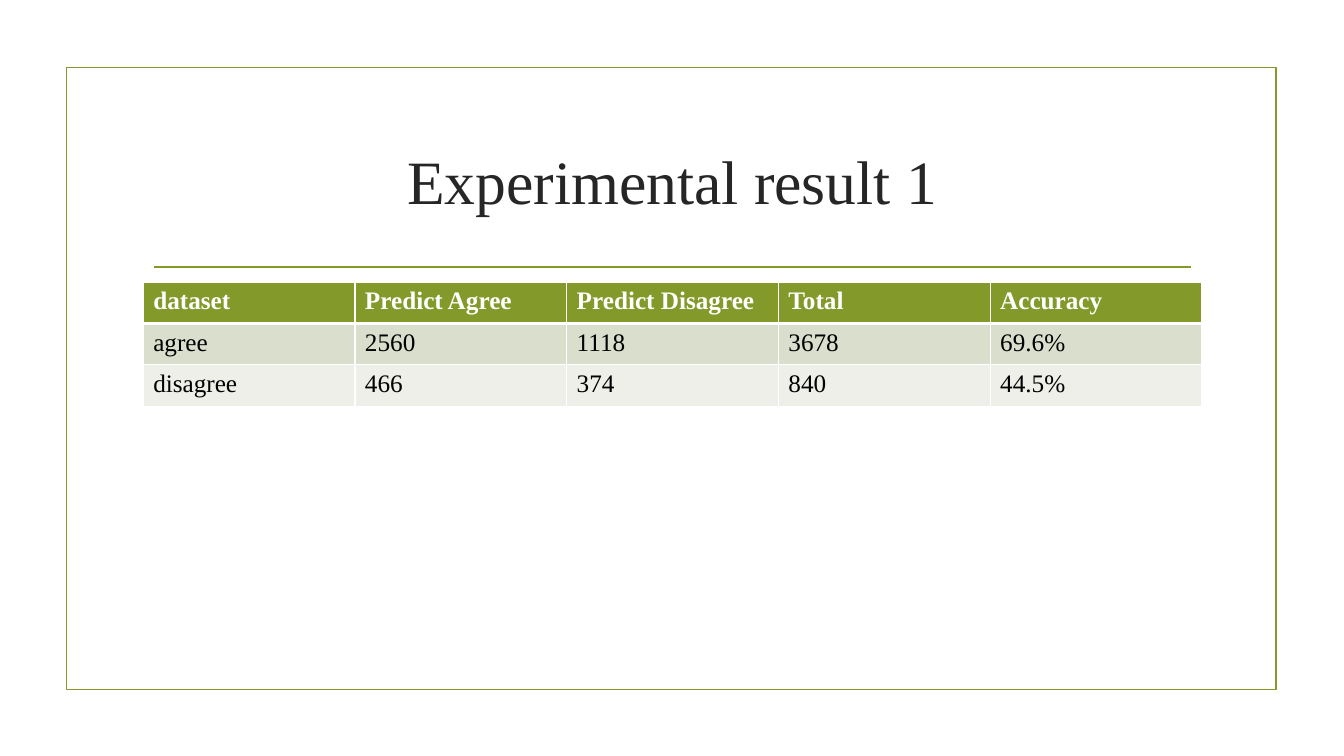
from dataclasses import dataclass

from lxml.etree import SubElement
from pptx import Presentation
from pptx.dml.color import RGBColor
from pptx.enum.shapes import MSO_CONNECTOR, MSO_SHAPE
from pptx.enum.text import MSO_ANCHOR, MSO_AUTO_SIZE, PP_ALIGN
from pptx.oxml.ns import qn
from pptx.util import Inches, Pt


@dataclass(frozen=True)
class Theme:
    font: str = "Times New Roman"
    accent: str = "83992A"
    title_ink: str = "262626"
    header_ink: str = "FFFFFF"
    body_ink: str = "000000"
    grid: str = "FFFFFF"
    bands: tuple = ("D9DECD", "EDEFE8")
    title_size: int = 44
    table_size: int = 18
    rule_width: float = 1.25
    grid_width: int = 1
    header_rule_width: int = 3


def apply_format(target, values):
    for name, value in values.items():
        setattr(target, name, value)


class SlideBuilder:
    def __init__(self, slide, theme):
        self.slide = slide
        self.theme = theme

    def style_font(self, font, size, ink, bold=False):
        apply_format(font, {"name": self.theme.font, "size": Pt(size), "bold": bold})
        font.color.rgb = RGBColor.from_string(ink)

    def style_line(self, line):
        line.color.rgb = RGBColor.from_string(self.theme.accent)
        line.width = Pt(self.theme.rule_width)

    def title(self, text, left, top, width, height):
        heading = self.slide.shapes.title
        apply_format(heading, {"left": Inches(left), "top": Inches(top),
                               "width": Inches(width), "height": Inches(height)})
        apply_format(heading.text_frame, {
            "text": text, "word_wrap": True, "auto_size": MSO_AUTO_SIZE.NONE,
            "vertical_anchor": MSO_ANCHOR.MIDDLE})
        paragraph = heading.text_frame.paragraphs[0]
        paragraph.alignment = PP_ALIGN.CENTER
        self.style_font(paragraph.runs[0].font, self.theme.title_size, self.theme.title_ink)

    def frame(self, left, top, width, height):
        border = self.slide.shapes.add_shape(
            MSO_SHAPE.RECTANGLE, Inches(left), Inches(top), Inches(width), Inches(height))
        border.shadow.inherit = False
        border.fill.background()
        self.style_line(border.line)

    def rule(self, left, right, y):
        divider = self.slide.shapes.add_connector(
            MSO_CONNECTOR.STRAIGHT, Inches(left), Inches(y), Inches(right), Inches(y))
        self.style_line(divider.line)
        SubElement(divider._element.spPr, qn("a:effectLst"))

    def cell_borders(self, cell, widths):
        properties = cell._tc.get_or_add_tcPr()
        for side, width in widths.items():
            edge = SubElement(properties, qn(f"a:ln{side}"), w=str(Pt(width)))
            fill = SubElement(edge, qn("a:solidFill"))
            SubElement(fill, qn("a:srgbClr"), val=self.theme.grid)

    def table(self, rows, left, top, width, row_height):
        theme = self.theme
        results = self.slide.shapes.add_table(
            len(rows), len(rows[0]), Inches(left), Inches(top),
            Inches(width), Inches(row_height * len(rows))).table
        for r, values in enumerate(rows):
            header = r == 0
            fill = theme.accent if header else theme.bands[(r - 1) % len(theme.bands)]
            ink = theme.header_ink if header else theme.body_ink
            borders = dict.fromkeys("LRTB", theme.grid_width)
            if r < 2:
                borders["B" if header else "T"] = theme.header_rule_width
            for c, value in enumerate(values):
                cell = results.cell(r, c)
                cell.text = value
                self.style_font(cell.text_frame.paragraphs[0].runs[0].font,
                                theme.table_size, ink, header)
                self.cell_borders(cell, borders)
                cell.fill.solid()
                cell.fill.fore_color.rgb = RGBColor.from_string(fill)


def main():
    deck = Presentation()
    apply_format(deck, {"slide_width": Inches(13.33), "slide_height": Inches(7.5)})
    title_only = deck.slide_layouts[5]
    builder = SlideBuilder(deck.slides.add_slide(title_only), Theme())

    # Border and divider
    builder.frame(0.66, 0.67, 12, 6.17)
    builder.rule(1.53, 11.81, 2.65)

    # Heading
    builder.title("Experimental result 1", 1.42, 1.07, 10.5, 1.43)

    # Prediction results
    predictions = [
        ("dataset", "Predict Agree", "Predict Disagree", "Total", "Accuracy"),
        ("agree", "2560", "1118", "3678", "69.6%"),
        ("disagree", "466", "374", "840", "44.5%"),
    ]
    builder.table(predictions, 1.42, 2.8, 10.5, 0.41)

    deck.save("out.pptx")


if __name__ == "__main__":
    main()
